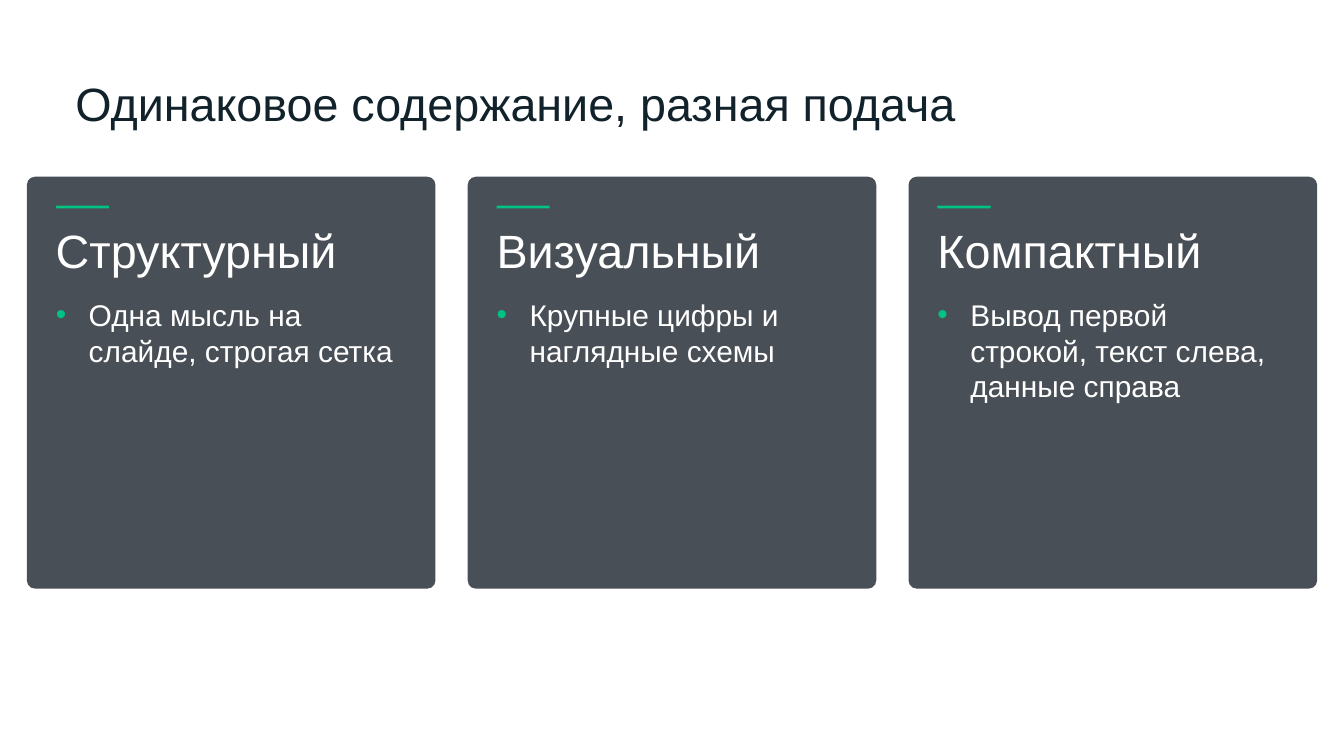
from lxml import etree
from pptx import Presentation
from pptx import util as u
from pptx.dml.color import RGBColor
from pptx.enum import shapes, text
from pptx.oxml import ns

INK, CARD, ACCENT, WHITE = "12222B", "494F56", "00C282", "FFFFFF"
CARDS = [
    ("Структурный", "Одна мысль на слайде, строгая сетка"),
    ("Визуальный", "Крупные цифры и наглядные схемы"),
    ("Компактный", "Вывод первой строкой, текст слева, данные справа"),
]
CARD_LEFT, CARD_TOP, CARD_WIDTH, CARD_HEIGHT = 0.4, 2.63, 6.08, 6.13
CARD_STEP = 6.56
PADDING = 0.43
TEXT_WIDTH = 5.23


def color(value):
    return RGBColor.from_string(value)


class Deck:
    """Holds the style and the current slide, with a method for each kind of element."""

    font = "Arial"
    heading_size = 50
    list_size = 32
    indent = 0.49

    def __init__(self, width, height):
        self.presentation = Presentation()
        self.presentation.slide_width = u.Inches(width)
        self.presentation.slide_height = u.Inches(height)

    def add_slide(self, layout):
        self.slide = self.presentation.slides.add_slide(self.presentation.slide_layouts[layout])
        self.slide.background.fill.solid()
        self.slide.background.fill.fore_color.rgb = color(WHITE)
        self.bodies = [shape for shape in self.slide.placeholders
                       if shape.placeholder_format.idx in range(1, 5)]

    def place(self, shape, left, top, width, height):
        shape.left, shape.top = u.Inches(left), u.Inches(top)
        shape.width, shape.height = u.Inches(width), u.Inches(height)

    def set_text(self, shape, content, size, ink):
        frame = shape.text_frame
        frame.text = content
        frame.word_wrap = True
        frame.auto_size = text.MSO_AUTO_SIZE.NONE
        frame.vertical_anchor = text.MSO_ANCHOR.TOP
        frame.margin_left = frame.margin_top = frame.margin_right = frame.margin_bottom = 0
        paragraph = frame.paragraphs[0]
        paragraph.alignment = text.PP_ALIGN.LEFT
        paragraph.space_before = u.Pt(0)
        for run in paragraph.runs:
            run.font.name = self.font
            run.font.size = u.Pt(size)
            run.font.bold = False
            run.font.color.rgb = color(ink)
        return paragraph

    def title(self, content, *box):
        shape = self.slide.shapes.title
        self.place(shape, *box)
        paragraph = self.set_text(shape, content, self.heading_size, INK)
        paragraph.line_spacing = u.Pt(58)

    def panel(self, kind, fill, *box):
        shape = self.slide.shapes.add_shape(kind, *map(u.Inches, box))
        shape.shadow.inherit = False
        shape.fill.solid()
        shape.fill.fore_color.rgb = color(fill)
        shape.line.fill.background()
        return shape

    def heading(self, content, *box):
        shape = self.slide.shapes.add_textbox(*map(u.Inches, box))
        self.set_text(shape, content, self.heading_size, WHITE)

    def bullet_list(self, content, *box):
        shape = self.bodies.pop(0)
        self.place(shape, *box)
        shape.element.getparent().append(shape.element)
        paragraph = self.set_text(shape, content, self.list_size, WHITE)
        properties = paragraph._p.get_or_add_pPr()
        properties.set("marL", str(u.Inches(self.indent)))
        properties.set("indent", str(-u.Inches(self.indent)))
        bullet_color = etree.SubElement(properties, ns.qn("a:buClr"))
        etree.SubElement(bullet_color, ns.qn("a:srgbClr"), val=ACCENT)
        etree.SubElement(properties, ns.qn("a:buFont"), typeface=self.font)
        etree.SubElement(properties, ns.qn("a:buChar"), char="•")

    def card(self, left, heading, content):
        inner = left + PADDING
        panel = self.panel(shapes.MSO_SHAPE.ROUNDED_RECTANGLE, CARD,
                           left, CARD_TOP, CARD_WIDTH, CARD_HEIGHT)
        panel.adjustments[0] = 0.02
        self.panel(shapes.MSO_SHAPE.RECTANGLE, ACCENT, inner, CARD_TOP + PADDING, 0.79, 0.04)
        self.heading(heading, inner, 3.3, TEXT_WIDTH, 0.86)
        self.bullet_list(content, inner, 4.41, TEXT_WIDTH, 3.92)

    def remove_unused(self):
        for shape in self.bodies:
            shape.element.getparent().remove(shape.element)


def main():
    deck = Deck(20, 11.25)
    deck.add_slide(4)
    deck.title("Одинаковое содержание, разная подача", 1.12, 1.14, 17.2, 0.93)
    for index, (heading, content) in enumerate(CARDS):
        deck.card(CARD_LEFT + index * CARD_STEP, heading, content)
    deck.remove_unused()
    deck.presentation.save("out.pptx")


if __name__ == "__main__":
    main()
